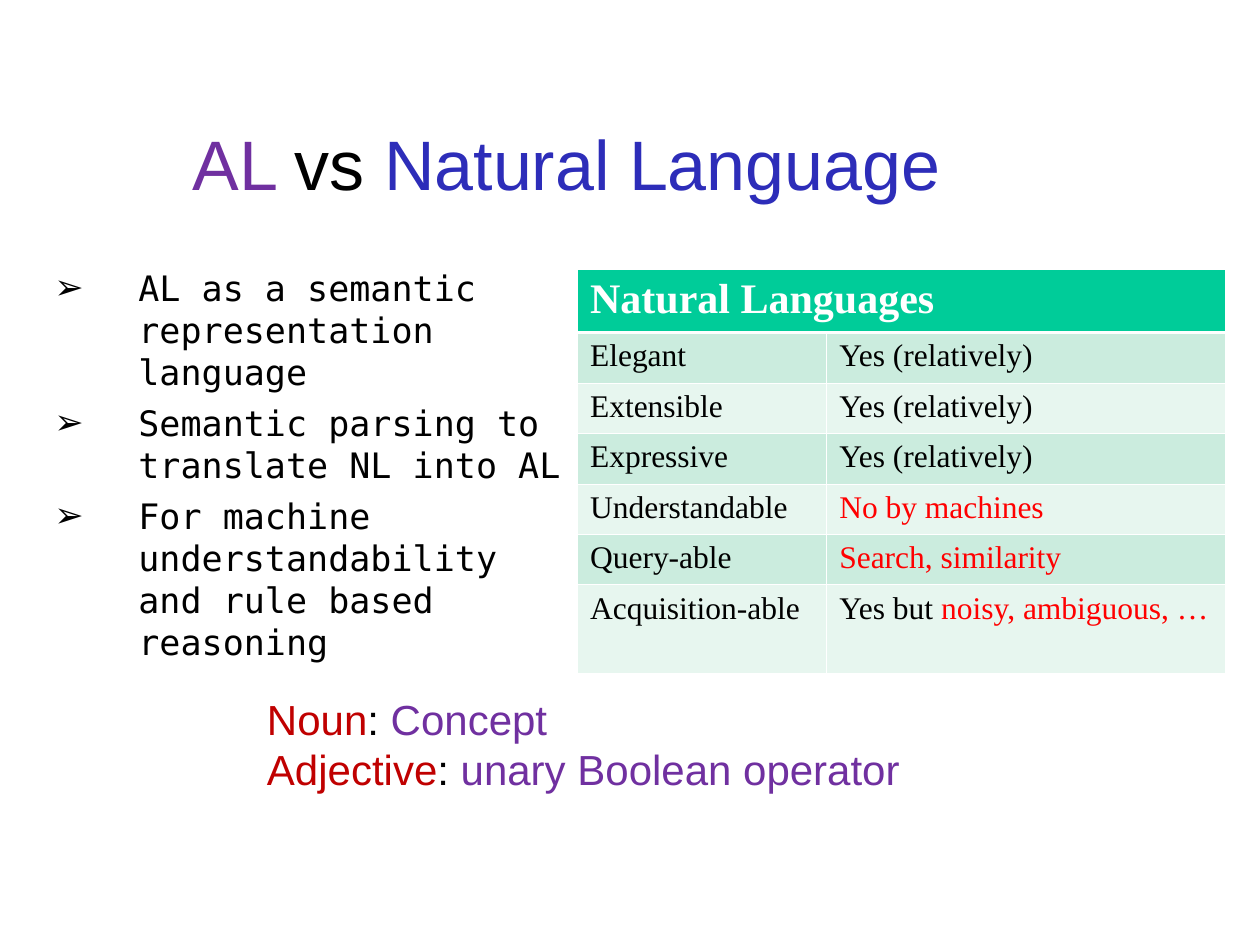
from lxml import etree
from pptx import Presentation
from pptx import util as u
from pptx.dml.color import RGBColor
from pptx.enum import text as t
from pptx.oxml.ns import qn

BLACK, WHITE, RED = "000000", "FFFFFF", "FF0000"
PURPLE, BLUE, BRICK = "7030A0", "2D2DB9", "C00000"
GREEN, MINT, PALE = "00CC99", "CBECDE", "E7F6EF"


def tint(code):
    return RGBColor.from_string(code)


def bullet(par, mark, hang):
    props = par._p.get_or_add_pPr()
    props.set("marL", str(u.Pt(hang)))
    props.set("indent", str(-u.Pt(hang)))
    ink = etree.SubElement(props, qn("a:buClr"))
    etree.SubElement(ink, qn("a:srgbClr"), val=BLACK)
    etree.SubElement(props, qn("a:buFont"), typeface="Arial")
    etree.SubElement(props, qn("a:buChar"), char=mark)


def write(frame, lines, font="Arial", size=18, bold=False, align=None,
          mark=None, hang=0, gap=0):
    for i, runs in enumerate(lines):
        par = frame.paragraphs[0] if i == 0 else frame.add_paragraph()
        if mark:
            bullet(par, mark, hang)
        if i and gap:
            par.space_before = u.Pt(gap)
        par.alignment = align
        for words, ink in runs:
            run = par.add_run()
            run.text = words
            run.font.name = font
            run.font.size = u.Pt(size)
            run.font.bold = bold
            run.font.color.rgb = tint(ink)


def edge(cell, side, width):
    props = cell._tc.get_or_add_tcPr()
    line = etree.SubElement(props, qn("a:ln" + side), w=str(u.Pt(width)))
    fill = etree.SubElement(line, qn("a:solidFill"))
    etree.SubElement(fill, qn("a:srgbClr"), val=WHITE)


class Deck:
    """Holds the slide and its shared table style."""

    serif = "Times New Roman"
    thin, thick = 0.45, 1.5

    def __init__(self, wide, high):
        self.file = Presentation()
        self.file.slide_width, self.file.slide_height = u.Pt(wide), u.Pt(high)
        self.slide = self.file.slides.add_slide(self.file.slide_layouts[6])

    def text(self, box, lines, anchor=t.MSO_ANCHOR.TOP, **style):
        frame = self.slide.shapes.add_textbox(*map(u.Pt, box)).text_frame
        frame.word_wrap = True
        frame.vertical_anchor = anchor
        write(frame, lines, **style)

    def cell(self, cell, row, runs):
        for side in "LRTB":
            heavy = (row, side) in ((0, "B"), (1, "T"))
            edge(cell, side, self.thick if heavy else self.thin)
        cell.fill.solid()
        cell.fill.fore_color.rgb = tint(
            GREEN if row == 0 else MINT if row % 2 else PALE)
        if runs:
            write(cell.text_frame, [runs], font=self.serif,
                  size=18 if row else 24, bold=row == 0)

    def table(self, left, top, wides, highs, rows):
        grid = self.slide.shapes.add_table(
            len(highs), len(wides), u.Pt(left), u.Pt(top),
            u.Pt(sum(wides)), u.Pt(sum(highs))).table
        for col, wide in zip(grid.columns, wides):
            col.width = u.Pt(wide)
        for row, high in zip(grid.rows, highs):
            row.height = u.Pt(high)
        grid.cell(0, 0).merge(grid.cell(0, len(wides) - 1))
        for i, row in enumerate(rows):
            for j, runs in enumerate(row):
                self.cell(grid.cell(i, j), i, runs)


def main():
    deck = Deck(720, 540)
    deck.text((14.4, 48, 618.5, 90),
              [[("AL ", PURPLE), ("vs", BLACK), (" Natural Language", BLUE)]],
              anchor=t.MSO_ANCHOR.MIDDLE, size=40, align=t.PP_ALIGN.CENTER)

    yes = [("Yes (relatively)", BLACK)]
    traits = [
        ("Elegant", yes),
        ("Extensible", yes),
        ("Expressive", yes),
        ("Understandable", [("No by machines", RED)]),
        ("Query-able", [("Search, similarity", RED)]),
        ("Acquisition-able",
         [("Yes but ", BLACK), ("noisy, ambiguous, …", RED)]),
    ]
    head = [[("Natural Languages", WHITE)], []]
    deck.table(330, 154, [142.4, 227.6], [36] + [28.8] * 5 + [50.4],
               [head] + [[[(name, BLACK)], runs] for name, runs in traits])

    points = ["AL as a semantic representation language",
              "Semantic parsing to translate NL into AL",
              "For machine understandability and rule based reasoning"]
    deck.text((24, 149, 308, 278), [[(point, BLACK)] for point in points],
              font="DejaVu Sans Mono", size=20, mark="➢", hang=48, gap=5)

    terms = [("Noun", "Concept"), ("Adjective", "unary Boolean operator")]
    deck.text((145.5, 392.5, 380, 94),
              [[(term, BRICK), (": ", BLACK), (role, PURPLE)]
               for term, role in terms], size=24)
    deck.file.save("out.pptx")


if __name__ == "__main__":
    main()
